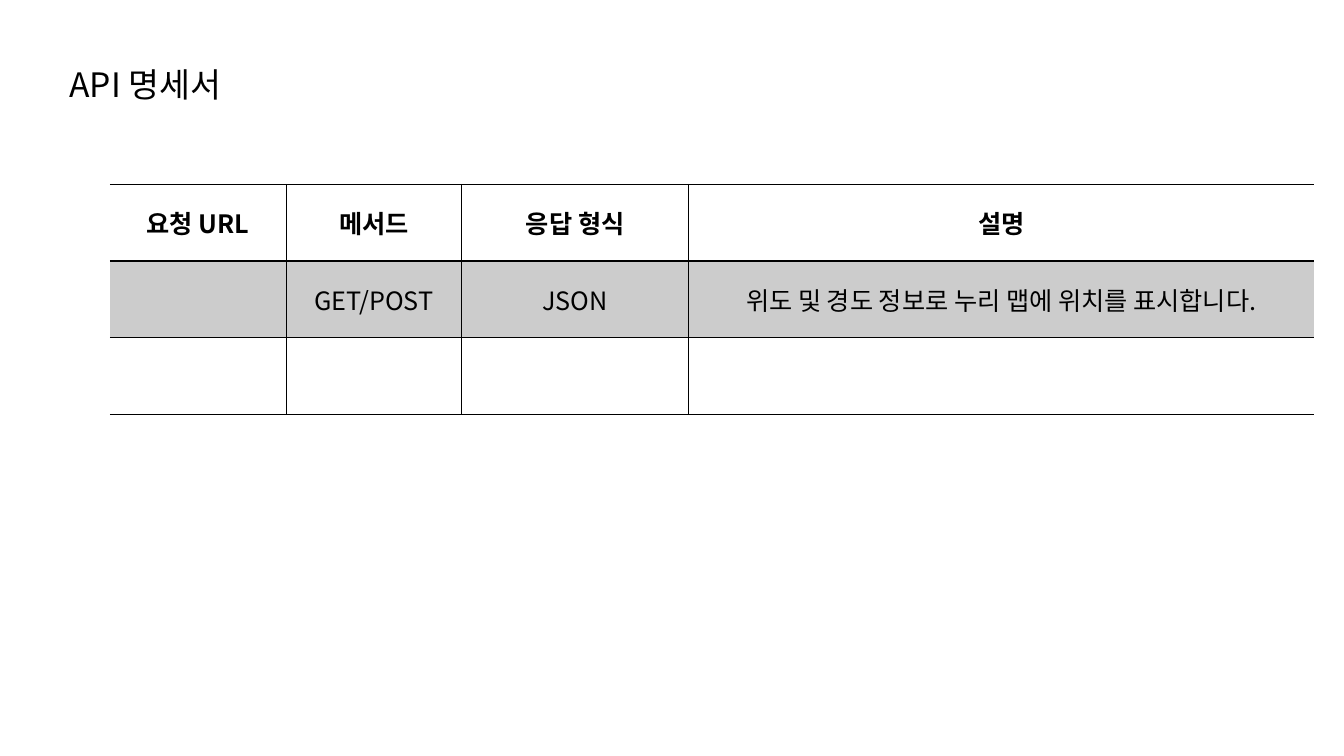
from dataclasses import dataclass

from lxml import etree
from pptx import Presentation
from pptx.dml.color import RGBColor
from pptx.enum.text import MSO_ANCHOR, MSO_AUTO_SIZE, PP_ALIGN
from pptx.oxml.ns import qn
from pptx.util import Inches, Pt

MIDDLE = MSO_ANCHOR.MIDDLE
GROW = MSO_AUTO_SIZE.SHAPE_TO_FIT_TEXT
LEFT, CENTER = PP_ALIGN.LEFT, PP_ALIGN.CENTER
TITLE_ONLY = 5
PLAIN_TABLE = "{2D5ABB26-0587-4C30-8999-92F81FD0307C}"


@dataclass(frozen=True)
class Theme:
    """Colours, font and type sizes of the slide."""
    font: str = "Noto Sans CJK KR"
    ink: str = "000000"
    band: str = "CCCCCC"
    title: int = 24
    body: int = 18
    rule: int = 1


@dataclass(frozen=True)
class Column:
    """One table column: width in inches, heading and body texts."""
    width: float
    heading: str
    texts: tuple[str, ...]


THEME = Theme()
ROW_HEIGHT = 0.76
BAND_ROW = 1
COLUMNS = (
    Column(1.75, "요청 URL", ("", "")),
    Column(1.74, "메서드", ("GET/POST", "")),
    Column(2.25, "응답 형식", ("JSON", "")),
    Column(6.2, "설명", ("위도 및 경도 정보로 누리 맵에 위치를 표시합니다.", "")),
)


def style_text(p, size: int, bold: bool, align) -> None:
    """Align a paragraph and format its runs in the theme font."""
    p.alignment = align
    p.font.size = Pt(size)
    for r in p.runs:
        r.font.size, r.font.bold, r.font.name = Pt(size), bold, THEME.font
        r.font.color.rgb = RGBColor.from_string(THEME.ink)
        ea = etree.SubElement(r.font._element, qn("a:ea"))
        ea.set("typeface", THEME.font)


def add_border(cell, side: str) -> None:
    """Rule one side (L, R, T or B) of a cell."""
    ln = etree.SubElement(cell._tc.get_or_add_tcPr(), qn(f"a:ln{side}"))
    ln.set("w", str(Pt(THEME.rule)))
    fill = etree.SubElement(ln, qn("a:solidFill"))
    etree.SubElement(fill, qn("a:srgbClr")).set("val", THEME.ink)


def add_title(s, text: str) -> None:
    """Place and format the title placeholder."""
    sp = s.shapes.title
    sp.left, sp.top, sp.width, sp.height = map(Inches, (0.59, 0.43, 6.67, 0.61))
    tf = sp.text_frame
    tf.text = text
    tf.word_wrap, tf.auto_size, tf.vertical_anchor = True, GROW, MIDDLE
    p = tf.paragraphs[0]
    p.line_spacing = 1.5
    p.space_before = Pt(0)
    style_text(p, THEME.title, False, LEFT)


def fill_cell(cell, text: str, row: int, sides: str) -> None:
    """Write, rule and shade one cell."""
    cell.text = text
    cell.vertical_anchor = MIDDLE
    style_text(cell.text_frame.paragraphs[0], THEME.body, row == 0, CENTER)
    for side in sides:
        add_border(cell, side)
    if row == BAND_ROW:
        cell.fill.solid()
        cell.fill.fore_color.rgb = RGBColor.from_string(THEME.band)
    else:
        cell.fill.background()


def add_api_table(s, columns: tuple[Column, ...]) -> None:
    """Draw the API table with inner column rules and open outer sides."""
    rows, last = 1 + len(columns[0].texts), len(columns) - 1
    width = sum(c.width for c in columns)
    frame = s.shapes.add_table(rows, len(columns), Inches(1.09), Inches(1.83),
                               Inches(width), Inches(ROW_HEIGHT * rows))
    table = frame.table
    table.horz_banding = False
    table._tbl.tblPr.find(qn("a:tableStyleId")).text = PLAIN_TABLE
    for row in table.rows:
        row.height = Inches(ROW_HEIGHT)
    for j, column in enumerate(columns):
        table.columns[j].width = Inches(column.width)
        for i, text in enumerate((column.heading, *column.texts)):
            sides = "L" * (j > 0) + "R" * (j < last)
            sides += "T" * (i <= 1) + "B" * (i in (0, rows - 1))
            fill_cell(table.cell(i, j), text, i, sides)


prs = Presentation()
prs.slide_width, prs.slide_height = Inches(13.33), Inches(7.5)
s = prs.slides.add_slide(prs.slide_layouts[TITLE_ONLY])
add_title(s, "API 명세서")
add_api_table(s, COLUMNS)
prs.save("out.pptx")
